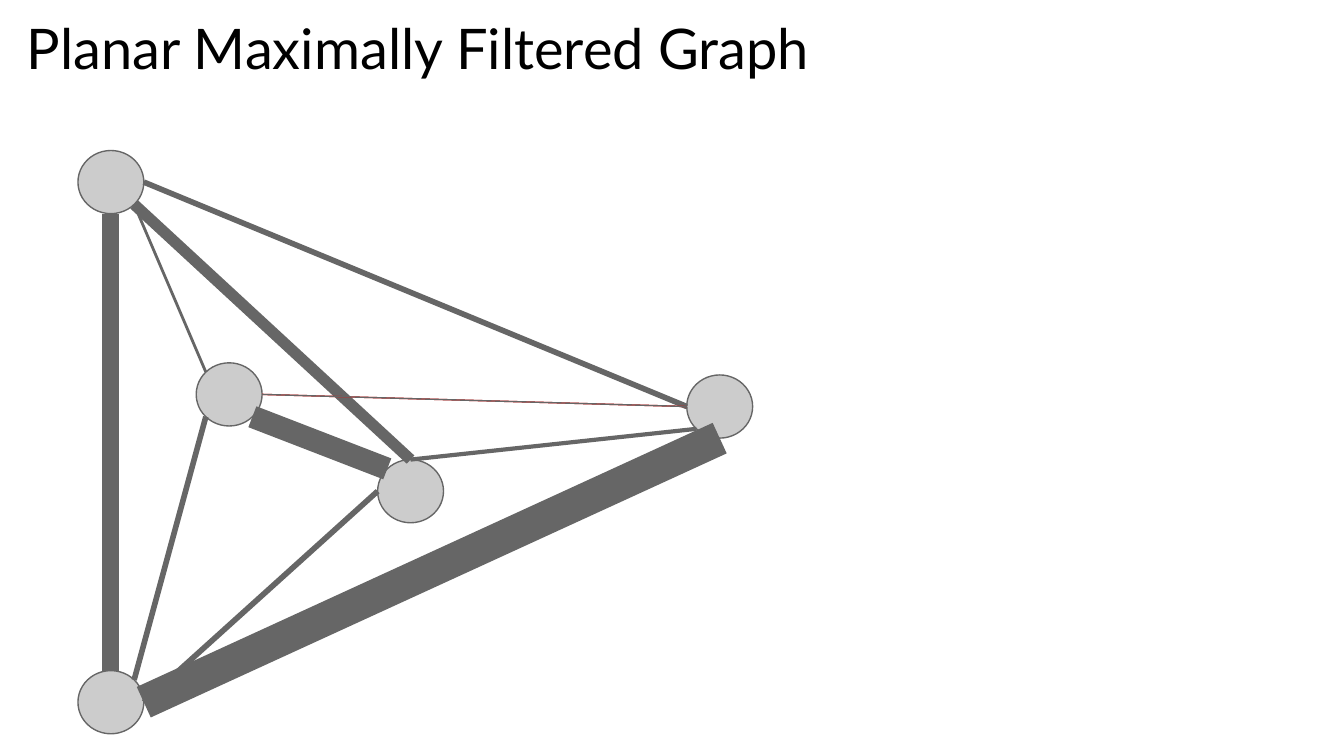
from math import cos, radians, sin

from lxml import etree
from pptx import Presentation
from pptx.dml.color import RGBColor
from pptx.enum import shapes, text
from pptx.oxml.ns import qn
from pptx.util import Inches, Pt

BLACK = RGBColor(0, 0, 0)
GRAY = RGBColor(0x66, 0x66, 0x66)
LIGHT = RGBColor(0xCC, 0xCC, 0xCC)
RED = RGBColor(0xFF, 0, 0)

WIDE, HIGH = 0.49, 0.47  # node size

# Top left corner of each node, within the graph box
NODES = {
    "top": (0, 0),
    "inner": (0.88, 1.58),
    "right": (4.53, 1.67),
    "mid": (2.23, 2.3),
    "low": (0, 3.87),
}

# Compass points on a node's rim, as clockwise degrees
RIM = {"E": 0, "SE": 45, "S": 90, "SW": 135, "W": 180, "NW": 225, "N": 270, "NE": 315}

# Start node and rim point, end node and rim point, weight, colour
EDGES = [
    ("top", "SE", "inner", "NW", 1.5, GRAY),
    ("right", "SW", "mid", "N", 2.25, GRAY),
    ("right", "W", "top", "E", 3, GRAY),
    ("top", "S", "low", "N", 9, GRAY),
    ("low", "NE", "inner", "SW", 3, GRAY),
    ("low", "E", "mid", "W", 3, GRAY),
    ("mid", "NW", "inner", "SE", 12, GRAY),
    ("top", "SE", "mid", "N", 6, GRAY),
    ("low", "E", "right", "S", 18, GRAY),
    ("inner", "E", "right", "W", 0.75, RED),
    ("inner", "E", "right", "W", 0.75, GRAY),
]


def add_title(slide, left, top, width, height, words):
    title = slide.shapes.title
    title.left, title.top = Inches(left), Inches(top)
    title.width, title.height = Inches(width), Inches(height)
    frame = title.text_frame
    frame.word_wrap = True
    frame.auto_size = text.MSO_AUTO_SIZE.NONE
    frame.vertical_anchor = text.MSO_ANCHOR.TOP
    frame.margin_left = frame.margin_right = Inches(0.1)
    frame.margin_top = frame.margin_bottom = Inches(0.1)
    para = frame.paragraphs[0]
    para.alignment = text.PP_ALIGN.LEFT
    run = para.add_run()
    run.text = words
    run.font.name = "Lato"
    run.font.size = Pt(30)
    run.font.color.rgb = BLACK


def add_node(slide, left, top):
    node = slide.shapes.add_shape(
        shapes.MSO_SHAPE.OVAL, Inches(left), Inches(top), Inches(WIDE), Inches(HIGH))
    node.shadow.inherit = False
    node.fill.solid()
    node.fill.fore_color.rgb = LIGHT
    node.line.color.rgb = GRAY
    node.line.width = Pt(0.75)


def add_edge(slide, start, end, weight, color):
    edge = slide.shapes.add_connector(
        shapes.MSO_CONNECTOR.STRAIGHT, *map(Inches, start + end))
    edge.line.color.rgb = color
    edge.line.width = Pt(weight)
    etree.SubElement(edge._element.spPr, qn("a:effectLst"))


def add_graph(slide, left, top):
    def rim(node, point):
        """Return the place of a compass point on a node's rim."""
        x, y = NODES[node]
        turn = radians(RIM[point])
        return (left + x + WIDE / 2 * (1 + cos(turn)),
                top + y + HIGH / 2 * (1 + sin(turn)))

    for x, y in NODES.values():
        add_node(slide, left + x, top + y)
    for tail, out, head, into, weight, color in EDGES:
        add_edge(slide, rim(tail, out), rim(head, into), weight, color)


def main():
    deck = Presentation()
    deck.slide_width = Inches(10)
    deck.slide_height = deck.slide_width * 9 // 16
    slide = deck.slides.add_slide(deck.slide_layouts.get_by_name("Title Only"))
    add_graph(slide, 0.58, 1.12)
    add_title(slide, 0.1, 0, 7.39, 0.83, "Planar Maximally Filtered Graph")
    deck.save("out.pptx")


if __name__ == "__main__":
    main()
